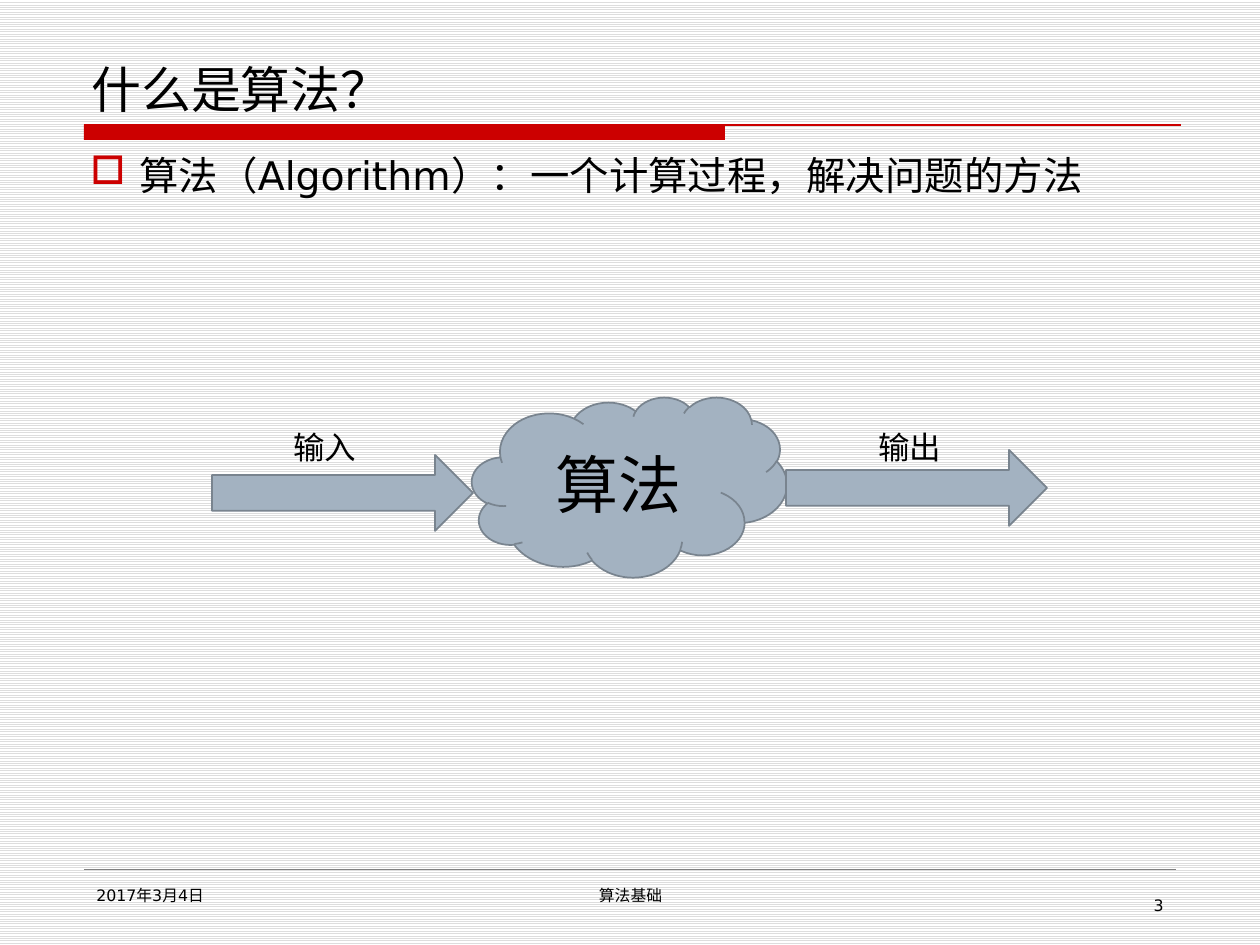
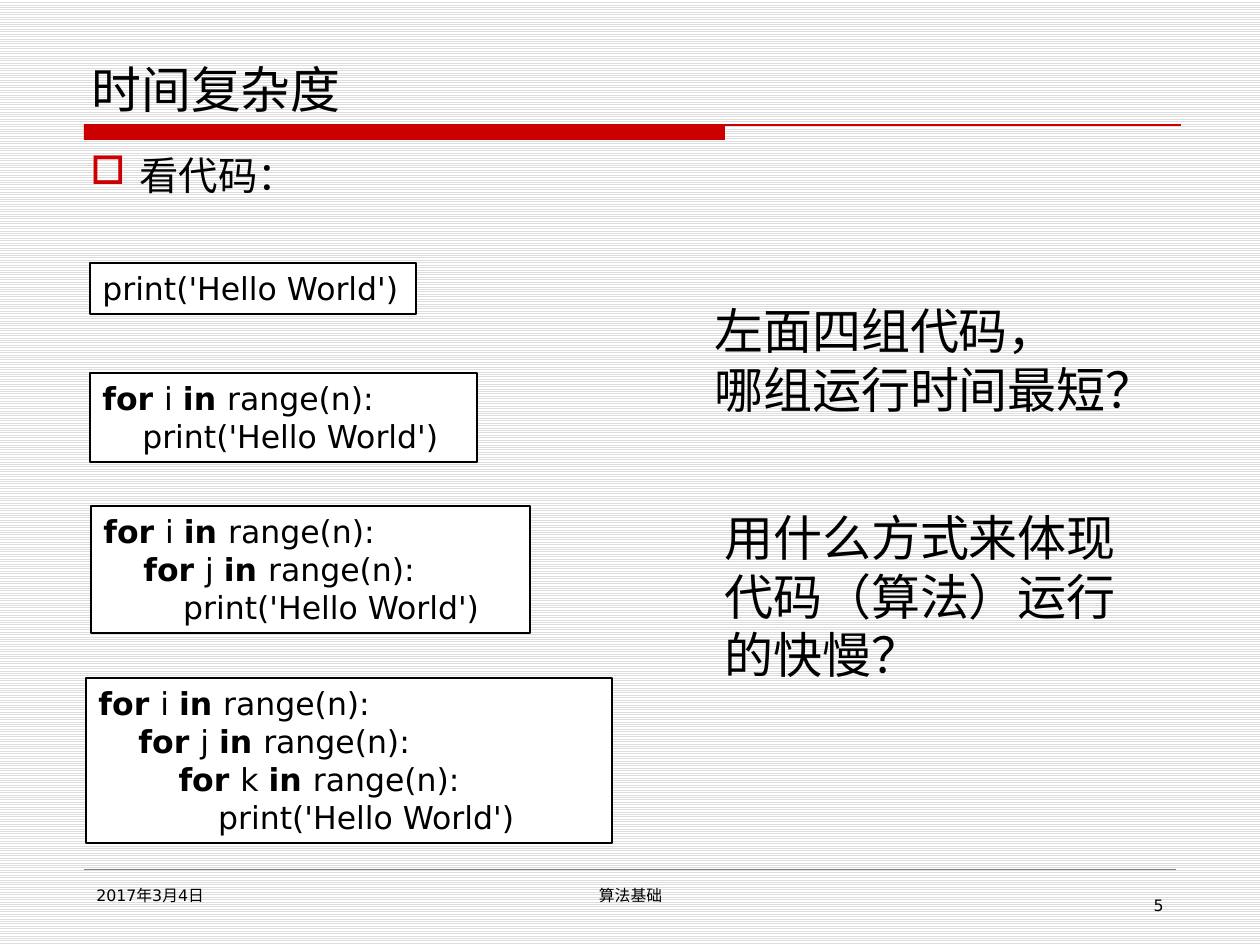
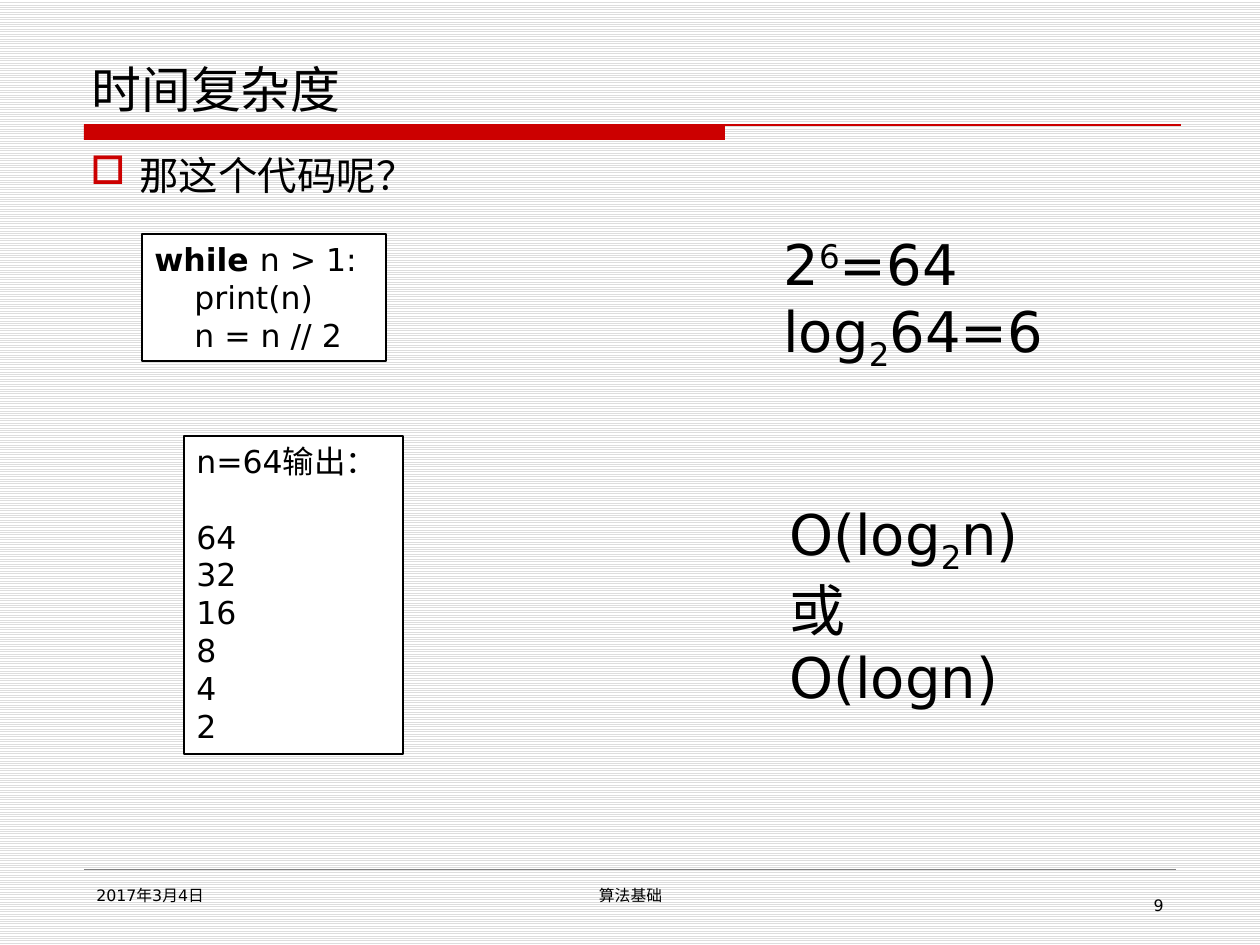
from itertools import groupby
from typing import NamedTuple

from lxml import etree
from pptx import Presentation
from pptx import util as u
from pptx.dml import color
from pptx.enum import dml, shapes, text
from pptx.oxml import ns

PX = 914400 / 126
FONT = "DejaVu Sans"
BLACK, WHITE, RED = "000000", "FFFFFF", "CC0000"
STRIPE, RULE_GREY = "DDDDDD", "808080"
STEEL, STEEL_EDGE = "A3B2C1", "79848F"
LEFT, CENTER, RIGHT = text.PP_ALIGN.LEFT, text.PP_ALIGN.CENTER, text.PP_ALIGN.RIGHT
TOP, MIDDLE, BOTTOM = text.MSO_ANCHOR.TOP, text.MSO_ANCHOR.MIDDLE, text.MSO_ANCHOR.BOTTOM
KEYWORDS = {"for", "in", "while"}
INDENT = "    "
CODE_SIZE, QUESTION_SIZE, FORMULA_SIZE = 18, 28, 32
BULLET_INDENT = 49
BAND_TOP = 125


class Box(NamedTuple):
    left: int
    top: int
    width: int
    height: int


class Run(NamedTuple):
    text: str
    bold: bool = False
    baseline: int = 0


class CodeBox(NamedTuple):
    box: Box
    lines: list[str]


class Flow(NamedTuple):
    arrow: Box
    label_box: Box
    label: str


FOOTER_DATE = Box(84, 880, 273, 47)
FOOTER_TITLE = Box(431, 880, 399, 47)
FOOTER_NUMBER = Box(903, 890, 273, 37)


def px(length: float) -> u.Emu:
    return u.Emu(round(length * PX))


def place(box: Box) -> list[u.Emu]:
    return [px(length) for length in box]


def rgb(value: str) -> color.RGBColor:
    return color.RGBColor.from_string(value)


def paint(shape, fill: str, line: str | None = None) -> None:
    shape.fill.solid()
    shape.fill.fore_color.rgb = rgb(fill)
    if line:
        shape.line.color.rgb = rgb(line)
        shape.line.width = u.Pt(1)
    else:
        shape.line.fill.background()


def format_text(frame, size: float, align=LEFT, anchor=TOP, grow: bool = False) -> None:
    frame.word_wrap = True
    frame.vertical_anchor = anchor
    fit = text.MSO_AUTO_SIZE
    frame.auto_size = fit.SHAPE_TO_FIT_TEXT if grow else fit.NONE
    for paragraph in frame.paragraphs:
        paragraph.alignment = align
        for run in paragraph.runs:
            run.font.name = FONT
            run.font.size = u.Pt(size)
            run.font.color.rgb = rgb(BLACK)


def add_text(slide, box: Box, words: str, size: float, align=LEFT, grow: bool = False):
    shape = slide.shapes.add_textbox(*place(box))
    shape.text_frame.text = words
    format_text(shape.text_frame, size, align, grow=grow)
    return shape


def add_runs(paragraph, runs: list[Run]) -> None:
    for item in runs:
        run = paragraph.add_run()
        run.text = item.text
        if item.bold:
            run.font.bold = True
        if item.baseline:
            run._r.get_or_add_rPr().set("baseline", str(item.baseline * 1000))


def add_shape(slide, kind, box: Box, fill: str, line: str | None = None):
    shape = slide.shapes.add_shape(kind, *place(box))
    shape.shadow.inherit = False
    paint(shape, fill, line)
    return shape


def add_rule(slide, left: int, right: int, top: int, line: str, width: float) -> None:
    rule = slide.shapes.add_connector(
        shapes.MSO_CONNECTOR.STRAIGHT, px(left), px(top), px(right), px(top)
    )
    rule.line.color.rgb = rgb(line)
    rule.line.width = u.Pt(width)
    etree.SubElement(rule._element.spPr, ns.qn("a:effectLst"))


def add_bullet(slide, words: str) -> None:
    shape = slide.shapes.add_textbox(*place(Box(78, 145, 1102, 684)))
    paragraph = shape.text_frame.paragraphs[0]
    paragraph.text = words
    properties = paragraph._p.get_or_add_pPr()
    properties.set("marL", str(px(BULLET_INDENT)))
    properties.set("indent", str(-px(BULLET_INDENT)))
    bullet_color = etree.SubElement(properties, ns.qn("a:buClr"))
    etree.SubElement(bullet_color, ns.qn("a:srgbClr"), val=RED)
    etree.SubElement(properties, ns.qn("a:buChar"), char="□")
    format_text(shape.text_frame, 22.5)


def add_slide(presentation, title: str, bullet: str, number: int):
    slide = presentation.slides.add_slide(presentation.slide_layouts[5])
    add_shape(slide, shapes.MSO_SHAPE.RECTANGLE, Box(84, BAND_TOP, 641, 15), RED)
    add_rule(slide, 84, 1181, BAND_TOP, RED, 0.75)
    add_rule(slide, 84, 1176, 869, RULE_GREY, 0.25)
    heading = slide.shapes.title
    heading.left, heading.top, heading.width, heading.height = place(Box(79, 42, 1102, 83))
    heading.text_frame.text = title
    format_text(heading.text_frame, 28.5, anchor=BOTTOM)
    add_bullet(slide, bullet)
    add_text(slide, FOOTER_DATE, "2017年3月4日", 9)
    add_text(slide, FOOTER_TITLE, "算法基础", 9, CENTER)
    add_text(slide, FOOTER_NUMBER, str(number), 9, RIGHT)
    return slide


def code_runs(line: str) -> list[Run]:
    *words, last = line.split(" ")
    pieces = [(word in KEYWORDS, word + " ") for word in words]
    pieces.append((last in KEYWORDS, last))
    return [
        Run("".join(piece for _, piece in group), bold)
        for bold, group in groupby(pieces, key=lambda item: item[0])
    ]


def add_code(slide, code: CodeBox) -> None:
    shape = slide.shapes.add_textbox(*place(code.box))
    paint(shape, WHITE, BLACK)
    paragraph = shape.text_frame.paragraphs[0]
    for index, line in enumerate(code.lines):
        if index:
            paragraph.add_line_break()
        add_runs(paragraph, code_runs(line))
    format_text(shape.text_frame, CODE_SIZE, grow=True)


def nested_loops(names: str) -> list[str]:
    loops = [f"{INDENT * depth}for {name} in range(n):" for depth, name in enumerate(names)]
    return [*loops, f"{INDENT * len(names)}print('Hello World')"]


def add_formula(slide, box: Box, lines: list[list[Run]]) -> None:
    shape = slide.shapes.add_textbox(*place(box))
    frame = shape.text_frame
    for index, runs in enumerate(lines):
        add_runs(frame.add_paragraph() if index else frame.paragraphs[0], runs)
    format_text(frame, FORMULA_SIZE, grow=True)


def build_definition(presentation) -> None:
    slide = add_slide(
        presentation, "什么是算法？", "算法（Algorithm）：一个计算过程，解决问题的方法", 3
    )
    cloud = add_shape(
        slide, shapes.MSO_SHAPE.CLOUD, Box(472, 397, 315, 180), STEEL, STEEL_EDGE
    )
    cloud.text_frame.text = "算法"
    format_text(cloud.text_frame, 36, CENTER, MIDDLE)
    flows = [
        Flow(Box(212, 455, 261, 76), Box(281, 422, 100, 50), "输入"),
        Flow(Box(786, 450, 261, 76), Box(866, 422, 100, 50), "输出"),
    ]
    for flow in flows:
        arrow = add_shape(
            slide, shapes.MSO_SHAPE.RIGHT_ARROW, flow.arrow, STEEL, STEEL_EDGE
        )
        arrow.adjustments[0] = 0.47
        arrow.adjustments[1] = 0.5
        add_text(slide, flow.label_box, flow.label, 18, grow=True)


def build_comparison(presentation) -> None:
    slide = add_slide(presentation, "时间复杂度", "看代码：", 5)
    boxes = [
        Box(90, 263, 326, 51),
        Box(90, 373, 387, 89),
        Box(91, 506, 439, 127),
        Box(86, 678, 526, 165),
    ]
    for depth, box in enumerate(boxes):
        add_code(slide, CodeBox(box, nested_loops("ijk"[:depth])))
    add_text(
        slide,
        Box(702, 294, 430, 131),
        "左面四组代码，\n哪组运行时间最短？",
        QUESTION_SIZE,
        grow=True,
    )
    add_text(
        slide,
        Box(712, 501, 430, 190),
        "用什么方式来体现代码（算法）运行的快慢？",
        QUESTION_SIZE,
        grow=True,
    )


def build_logarithm(presentation) -> None:
    slide = add_slide(presentation, "时间复杂度", "那这个代码呢？", 9)
    halving = ["while n > 1:", f"{INDENT}print(n)", f"{INDENT}n = n // 2"]
    add_code(slide, CodeBox(Box(142, 234, 244, 127), halving))
    values = [str(2**power) for power in range(6, 0, -1)]
    output = add_text(
        slide,
        Box(184, 436, 219, 318),
        "\n".join(["n=64输出：", *values]),
        CODE_SIZE,
        grow=True,
    )
    paint(output, WHITE, BLACK)
    output.text_frame.paragraphs[1].space_before = u.Pt(21.5)
    base_two = Run("2", baseline=-25)
    add_formula(
        slide,
        Box(771, 223, 291, 149),
        [
            [Run("2"), Run("6", baseline=30), Run("=64")],
            [Run("log"), base_two, Run("64=6")],
        ],
    )
    add_formula(
        slide,
        Box(777, 493, 285, 217),
        [[Run("O(log"), base_two, Run("n)")], [Run("或")], [Run("O(logn)")]],
    )


def main() -> None:
    presentation = Presentation()
    presentation.slide_width = px(1260)
    presentation.slide_height = px(945)
    background = presentation.slide_master.background.fill
    background.patterned()
    background.pattern = dml.MSO_PATTERN.LIGHT_HORIZONTAL
    background.fore_color.rgb = rgb(STRIPE)
    background.back_color.rgb = rgb(WHITE)
    build_definition(presentation)
    build_comparison(presentation)
    build_logarithm(presentation)
    presentation.save("out.pptx")


if __name__ == "__main__":
    main()
